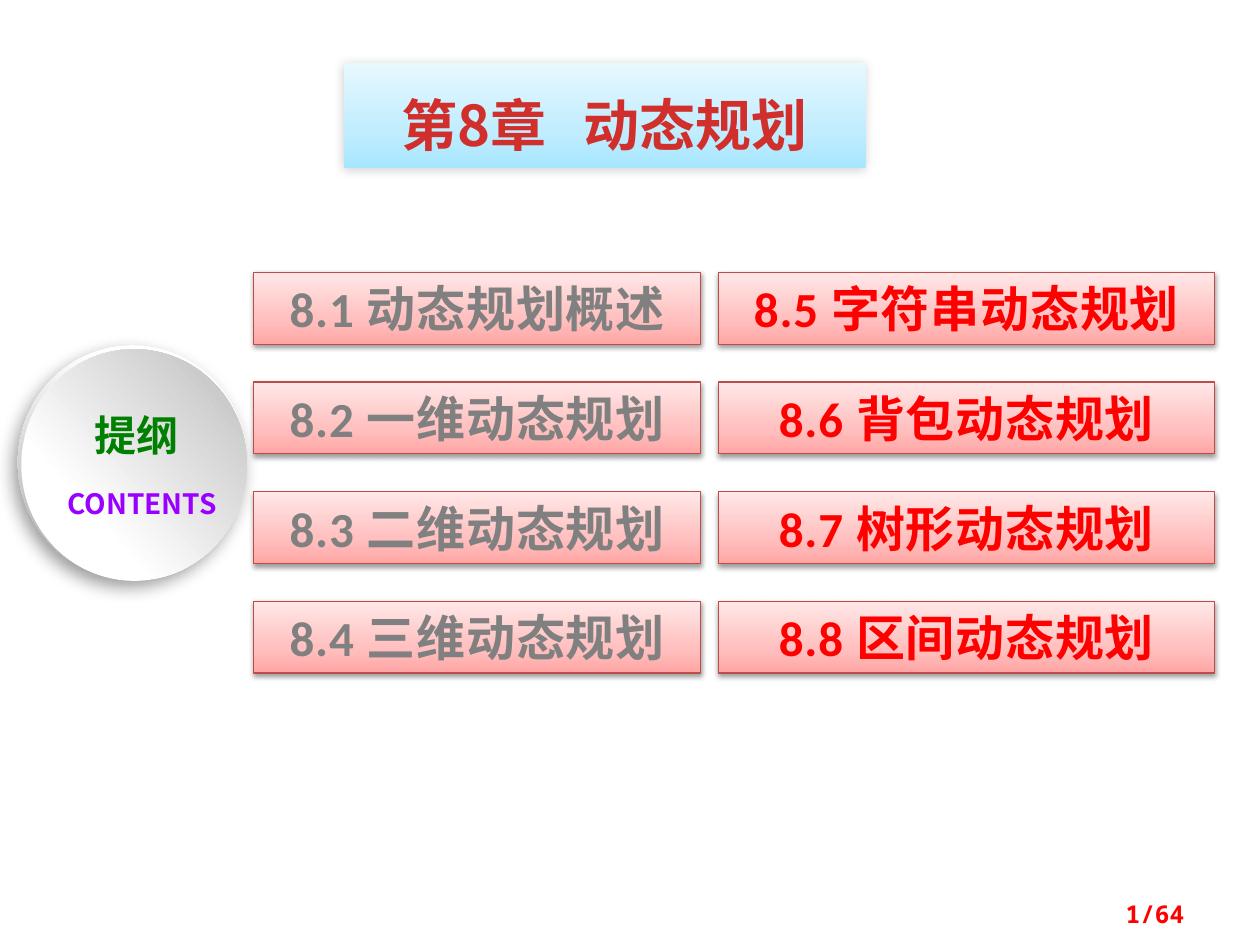
"""Build the outline slide of the dynamic programming chapter."""
from dataclasses import dataclass

from lxml.etree import SubElement
from pptx import Presentation
from pptx.dml.color import RGBColor
from pptx.enum.shapes import MSO_SHAPE
from pptx.enum.text import MSO_ANCHOR, MSO_AUTO_SIZE, PP_ALIGN
from pptx.oxml.ns import qn
from pptx.util import Cm, Pt


@dataclass(frozen=True)
class Theme:
    """Colours, gradients, fonts and type sizes of the slide."""
    done: str = "808080"
    upcoming: str = "FF0000"
    outline: str = "008000"
    contents: str = "9900FF"
    border: str = "BF4C48"
    shadow: str = "000000"
    banner: tuple = ((0, "A7E6FF"), (35, "C1EDFF"), (100, "E7F8FF"))
    section: tuple = ((0, "FFA6A5"), (35, "FFC0BF"), (100, "FFE7E7"))
    rim: tuple = ((17, "FFFFFF"), (88, "B8B8B8"))
    disc: tuple = ((29, "FFFFFF"), (98, "BFBFBF"))
    title: tuple = ((0, "FC7C7A"), (75, "D02F2C"), (100, "C70500"))
    latin: str = "Calibri"
    cjk: str = "Noto Sans CJK SC"
    mono: str = "Noto Sans Mono"
    title_size: int = 32
    section_size: int = 28
    outline_size: int = 24
    contents_size: int = 16
    page_size: int = 14


THEME = Theme()


def set_gradient(fill, owner, stops, angle):
    """Fill with a linear gradient at a counter-clockwise angle."""
    fill.gradient()
    fill.gradient_angle = angle
    stop_list = owner.find(".//" + qn("a:gsLst"))
    stop_list.clear()
    for position, colour in stops:
        stop = SubElement(stop_list, qn("a:gs"), pos=str(position * 1000))
        SubElement(stop, qn("a:srgbClr"), val=colour)


def set_shadow(shape, opacity, blur, distance, direction):
    """Give a shape an outer shadow."""
    effects = shape._element.spPr.find(qn("a:effectLst"))
    outer = SubElement(effects, qn("a:outerShdw"), blurRad=str(Pt(blur)),
                       dist=str(Pt(distance)), dir=str(direction * 60000),
                       algn="ctr", rotWithShape="0")
    colour = SubElement(outer, qn("a:srgbClr"), val=THEME.shadow)
    SubElement(colour, qn("a:alpha"), val=str(opacity * 1000))


def place(shape, left, top, width, height):
    """Move and size a shape, in centimetres."""
    shape.left, shape.top = Cm(left), Cm(top)
    shape.width, shape.height = Cm(width), Cm(height)


def write(shape, text, *, size, font, colour=None, gradient=None, bold=True,
          spacing=0, align=PP_ALIGN.CENTER):
    """Append formatted text to the first paragraph of a shape."""
    frame = shape.text_frame
    frame.word_wrap = True
    frame.auto_size = MSO_AUTO_SIZE.NONE
    frame.vertical_anchor = MSO_ANCHOR.MIDDLE
    paragraph = frame.paragraphs[0]
    paragraph.alignment = align
    run = paragraph.add_run()
    run.text = text
    run.font.size, run.font.bold, run.font.name = Pt(size), bold, font
    properties = run.font._element
    if gradient:
        set_gradient(run.font.fill, properties, gradient, 270)
    else:
        run.font.color.rgb = RGBColor.from_string(colour)
    SubElement(properties, qn("a:ea"), typeface=font)
    if spacing:
        properties.set("spc", str(int(spacing * 100)))


def add_panel(slide, kind, box, stops, angle, border=None):
    """Add a gradient-filled shape with an optional thin border."""
    panel = slide.shapes.add_shape(kind, *map(Cm, box))
    panel.shadow.inherit = False
    set_gradient(panel.fill, panel._element, stops, angle)
    if border:
        panel.line.color.rgb = RGBColor.from_string(border)
        panel.line.width = Pt(0.75)
    else:
        panel.line.fill.background()
    return panel


def add_title(slide):
    """Format the title placeholder as the chapter banner."""
    banner = slide.shapes.title
    place(banner, 6.93, 1.27, 10.52, 2.11)
    set_gradient(banner.fill, banner._element, THEME.banner, 90)
    banner.shadow.inherit = False
    set_shadow(banner, 20, 6, 1, 135)
    banner.text_frame.margin_top = Cm(0.5)
    for part, spacing in (("第8章", 0), (" ", 14), ("动态规划", 0)):
        write(banner, part, size=THEME.title_size, font=THEME.cjk,
              gradient=THEME.title, spacing=spacing)


def add_label(slide, text, box, **text_format):
    """Add a text box with one formatted line."""
    label = slide.shapes.add_textbox(*map(Cm, box))
    write(label, text, **text_format)


def add_badge(slide):
    """Add the round outline badge with its two labels."""
    rim = add_panel(slide, MSO_SHAPE.OVAL, (0.36, 6.96, 4.62, 4.72),
                    THEME.rim, 253)
    set_shadow(rim, 39, 10, 5, 123)
    add_panel(slide, MSO_SHAPE.OVAL, (0.43, 7.04, 4.55, 4.67), THEME.disc, 42)
    add_label(slide, "CONTENTS", (0.99, 9.68, 3.76, 0.94), font=THEME.cjk,
              size=THEME.contents_size, colour=THEME.contents)
    add_label(slide, "提纲", (1.42, 8.13, 2.67, 1.27), font=THEME.cjk,
              size=THEME.outline_size, colour=THEME.outline)


def add_sections(slide, sections, left, width, colour):
    """Stack one column of section boxes at an even pitch."""
    for row, section in enumerate(sections):
        box = (left, 5.49 + row * 2.21, width, 1.45)
        panel = add_panel(slide, MSO_SHAPE.RECTANGLE, box, THEME.section, 90,
                          THEME.border)
        set_shadow(panel, 38, 3.1, 1.6, 90)
        write(panel, section, size=THEME.section_size, font=THEME.latin,
              colour=colour, spacing=0.5)


def main():
    """Build and save the slide."""
    deck = Presentation()
    deck.slide_width, deck.slide_height = Cm(25.4), Cm(19.05)
    slide = deck.slides.add_slide(deck.slide_layouts[5])
    add_title(slide)
    add_badge(slide)
    add_sections(slide, ("8.1 动态规划概述", "8.2 一维动态规划",
                         "8.3 二维动态规划", "8.4 三维动态规划"),
                 5.11, 9.02, THEME.done)
    add_sections(slide, ("8.5 字符串动态规划", "8.6 背包动态规划",
                         "8.7 树形动态规划", "8.8 区间动态规划"),
                 14.48, 10.01, THEME.upcoming)
    add_label(slide, "1/64", (18.21, 17.91, 5.92, 1.02), font=THEME.mono,
              size=THEME.page_size, colour=THEME.upcoming,
              align=PP_ALIGN.RIGHT)
    deck.save("out.pptx")


if __name__ == "__main__":
    main()
